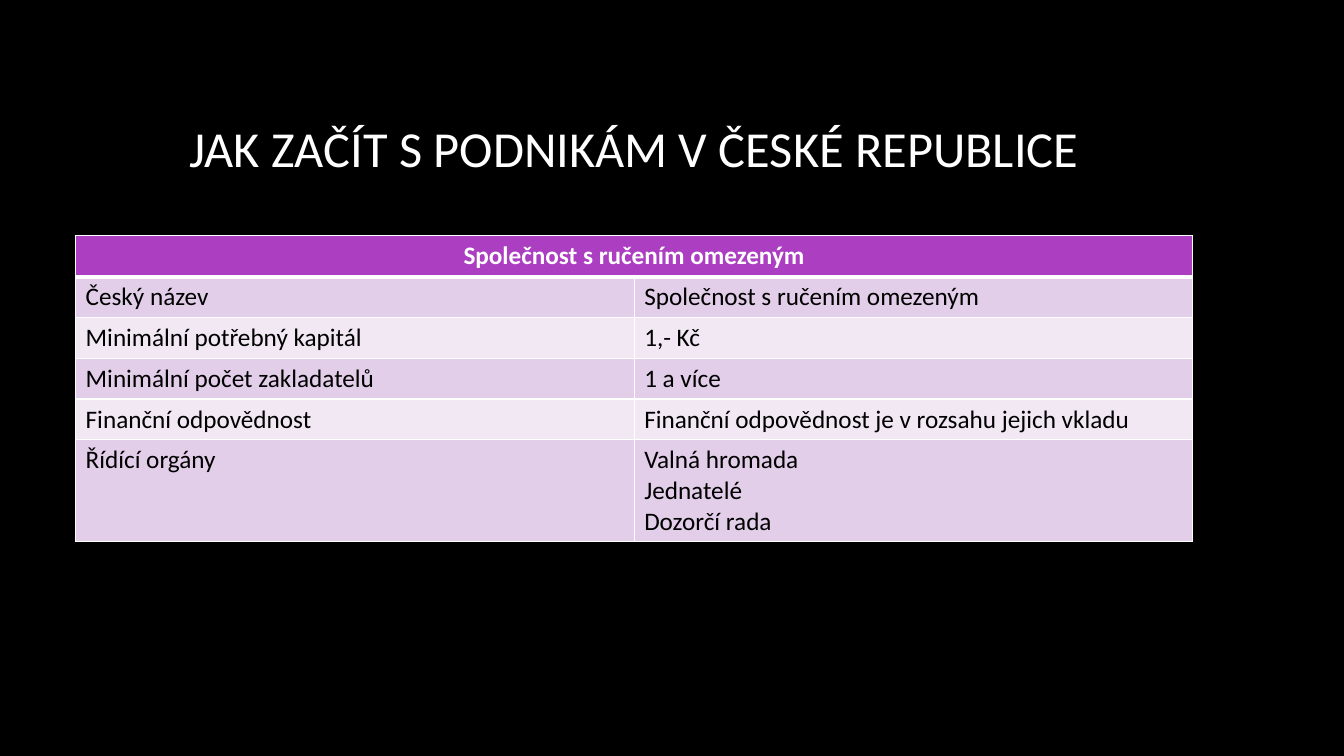
from lxml.etree import SubElement
from pptx import Presentation
from pptx.dml.color import RGBColor
from pptx.enum.text import MSO_ANCHOR as Anchor, PP_ALIGN as Align
from pptx.oxml.ns import qn
from pptx.util import Inches, Pt

BLACK = RGBColor(0x00, 0x00, 0x00)
WHITE = RGBColor(0xFF, 0xFF, 0xFF)
PURPLE = RGBColor(0xAC, 0x3E, 0xC1)
LILAC = RGBColor(0xE3, 0xCE, 0xE9)
PALE_LILAC = RGBColor(0xF1, 0xE8, 0xF4)

FONT = "Calibri"
LEFT, WIDTH = 0.75, 11.08
ROW_HEIGHT, LAST_ROW_HEIGHT = 0.405, 1.01
THIN, THICK = 1, 3

TITLE = "JAK ZAČÍT S PODNIKÁM V ČESKÉ REPUBLICE"
COMPANY_FORM = "Společnost s ručením omezeným"
FACTS = [
    ("Český název", COMPANY_FORM),
    ("Minimální potřebný kapitál", "1,- Kč"),
    ("Minimální počet zakladatelů", "1 a více"),
    ("Finanční odpovědnost", "Finanční odpovědnost je v rozsahu jejich vkladu"),
    ("Řídící orgány", "Valná hromada\nJednatelé\nDozorčí rada"),
]


def write_text(frame, text, size=18, color=BLACK, bold=False, align=Align.LEFT):
    """Fill the frame with one paragraph for each line of text."""
    frame.text = text
    for paragraph in frame.paragraphs:
        paragraph.alignment = align
        font = paragraph.runs[0].font if paragraph.runs else paragraph.font
        font.name, font.size, font.bold = FONT, Pt(size), bold
        font.color.rgb = color


def set_borders(cell, top=THIN, bottom=THIN):
    properties = cell._tc.get_or_add_tcPr()
    widths = {"a:lnL": THIN, "a:lnR": THIN, "a:lnT": top, "a:lnB": bottom}
    for tag, width in widths.items():
        line = SubElement(properties, qn(tag), w=str(Pt(width)))
        fill = SubElement(line, qn("a:solidFill"))
        SubElement(fill, qn("a:srgbClr"), val=str(WHITE))


def fill_cell(cell, color):
    cell.fill.solid()
    cell.fill.fore_color.rgb = color


def add_title(slide, left, top, width, height):
    box = slide.shapes.add_textbox(
        Inches(left), Inches(top), Inches(width), Inches(height))
    frame = box.text_frame
    frame.word_wrap = True
    frame.vertical_anchor = Anchor.MIDDLE
    write_text(frame, TITLE, size=36, color=WHITE, align=Align.CENTER)


def add_company_table(slide, left, top, width):
    heights = [ROW_HEIGHT] * len(FACTS) + [LAST_ROW_HEIGHT]
    table = slide.shapes.add_table(
        len(heights), 2, Inches(left), Inches(top),
        Inches(width), Inches(sum(heights))).table
    for row, height in zip(table.rows, heights):
        row.height = Inches(height)

    header = table.cell(0, 0)
    header.merge(table.cell(0, 1))
    for cell in table.rows[0].cells:
        set_borders(cell, bottom=THICK)
        fill_cell(cell, PURPLE)
    write_text(header.text_frame, COMPANY_FORM, color=WHITE, bold=True,
               align=Align.CENTER)

    for row_index, fact in enumerate(FACTS, start=1):
        for column_index, text in enumerate(fact):
            cell = table.cell(row_index, column_index)
            set_borders(cell, top=THICK if row_index == 1 else THIN)
            fill_cell(cell, LILAC if row_index % 2 else PALE_LILAC)
            write_text(cell.text_frame, text)


def main():
    presentation = Presentation()
    presentation.slide_width = Inches(13.33)
    presentation.slide_height = Inches(7.5)
    slide = presentation.slides.add_slide(presentation.slide_layouts[6])
    background = slide.background.fill
    background.solid()
    background.fore_color.rgb = BLACK
    add_title(slide, LEFT, 0.67, WIDTH, 1.59)
    add_company_table(slide, LEFT, 2.34, WIDTH)
    presentation.save("out.pptx")


if __name__ == "__main__":
    main()
